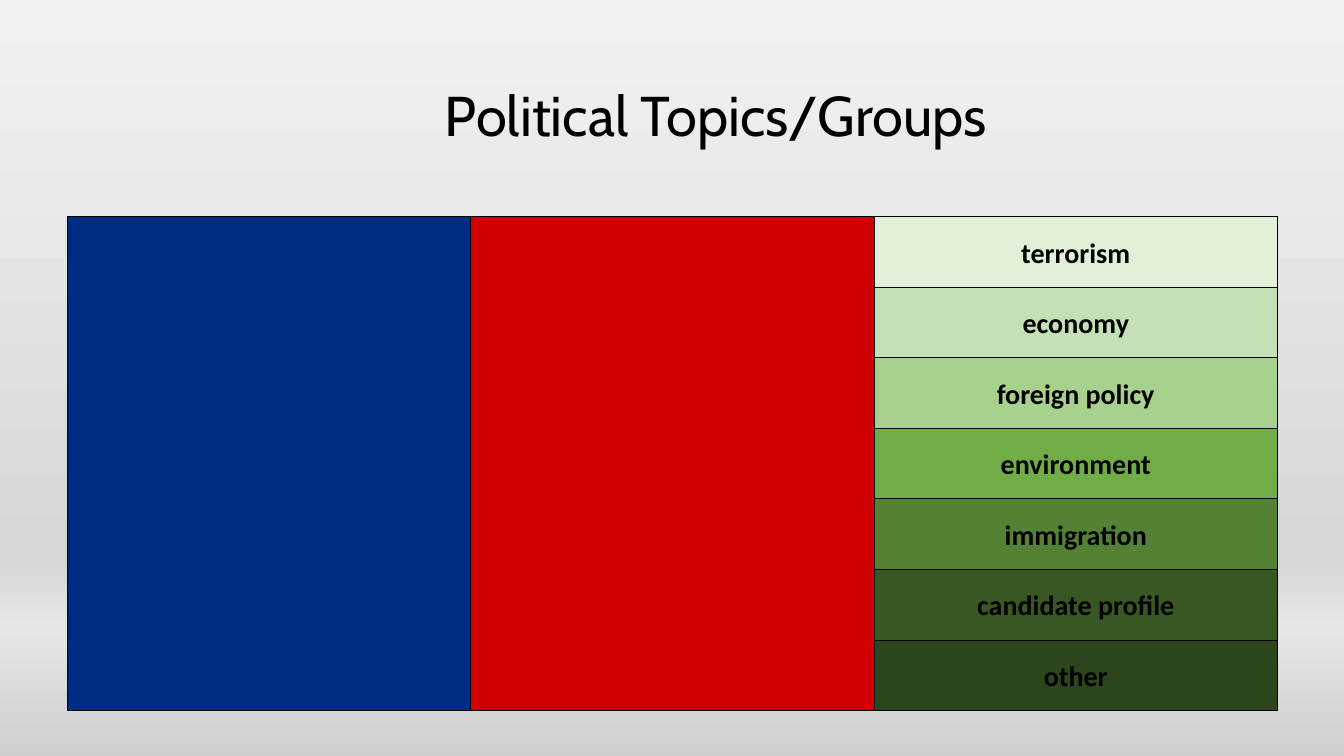
from dataclasses import dataclass

from lxml import etree
from pptx import Presentation
from pptx.dml.color import RGBColor
from pptx.enum.shapes import MSO_SHAPE
from pptx.enum.text import MSO_ANCHOR, PP_ALIGN
from pptx.oxml.ns import qn
from pptx.util import Inches, Pt

RECTANGLE = MSO_SHAPE.RECTANGLE
MIDDLE = MSO_ANCHOR.MIDDLE
CENTER = PP_ALIGN.CENTER
BLANK_LAYOUT = 6


@dataclass(frozen=True)
class Theme:
    ink: str = "000000"
    backdrop: tuple = ((0, "F2F2F2"), (74, "D7D7D7"), (83, "E7E6E6"), (100, "D0CECE"))
    topic_base: str = "70AD47"
    groups: tuple = ("002B82", "D00000")
    title_font: str = "Cabin"
    title_size: float = 40
    topic_font: str = "Calibri"
    topic_size: float = 20
    outline: float = 0.71


THEME = Theme()

TOPICS = (
    ("terrorism", "E2F0D9"),
    ("economy", "C5E0B4"),
    ("foreign policy", "A9D18E"),
    ("environment", "70AD47"),
    ("immigration", "548235"),
    ("candidate profile", "385723"),
    ("other", "2C451B"),
)


@dataclass(frozen=True)
class Box:
    left: float
    top: float
    width: float
    height: float

    def column(self, index, count):
        width = self.width / count
        return Box(self.left + index * width, self.top, width, self.height)

    def row(self, index, count):
        height = self.height / count
        return Box(self.left, self.top + index * height, self.width, height)

    def lengths(self):
        return [Inches(value) for value in (self.left, self.top, self.width, self.height)]


def paint_background(slide):
    fill = slide.background.fill
    fill.gradient()
    fill.gradient_angle = 270
    stops = slide.element.find(".//" + qn("a:gsLst"))
    for stop in list(stops):
        stops.remove(stop)
    for percent, color in THEME.backdrop:
        stop = etree.SubElement(stops, qn("a:gs"), pos=str(percent * 1000))
        etree.SubElement(stop, qn("a:srgbClr"), val=color)


def write_text(shape, text, font_name, size, bold=False):
    frame = shape.text_frame
    frame.text = text
    frame.word_wrap = True
    frame.vertical_anchor = MIDDLE
    paragraph = frame.paragraphs[0]
    paragraph.alignment = CENTER
    font = paragraph.runs[0].font
    font.name = font_name
    font.size = Pt(size)
    font.bold = bold
    font.color.rgb = RGBColor.from_string(THEME.ink)


def add_panel(slide, box, color):
    panel = slide.shapes.add_shape(RECTANGLE, *box.lengths())
    panel.shadow.inherit = False
    panel.fill.solid()
    panel.fill.fore_color.rgb = RGBColor.from_string(color)
    panel.line.color.rgb = RGBColor.from_string(THEME.ink)
    panel.line.width = Pt(THEME.outline)
    return panel


def add_title(slide, box, text):
    title = slide.shapes.add_textbox(*box.lengths())
    write_text(title, text, THEME.title_font, THEME.title_size)


def add_topic_board(slide, box):
    """Place the group columns, then the topic rows in the last column."""
    add_panel(slide, box, THEME.topic_base)
    column_count = len(THEME.groups) + 1
    for index, color in enumerate(THEME.groups):
        add_panel(slide, box.column(index, column_count), color)
    topic_column = box.column(column_count - 1, column_count)
    for index, (topic, color) in enumerate(TOPICS):
        panel = add_panel(slide, topic_column.row(index, len(TOPICS)), color)
        write_text(panel, topic, THEME.topic_font, THEME.topic_size, bold=True)


def main():
    presentation = Presentation()
    presentation.slide_width = Inches(13.33)
    presentation.slide_height = Inches(7.5)
    slide = presentation.slides.add_slide(presentation.slide_layouts[BLANK_LAYOUT])
    paint_background(slide)
    add_topic_board(slide, Box(0.67, 2.15, 12, 4.9))
    add_title(slide, Box(1.62, 0.17, 10.96, 1.92), "Political Topics/Groups")
    presentation.save("out.pptx")


if __name__ == "__main__":
    main()
